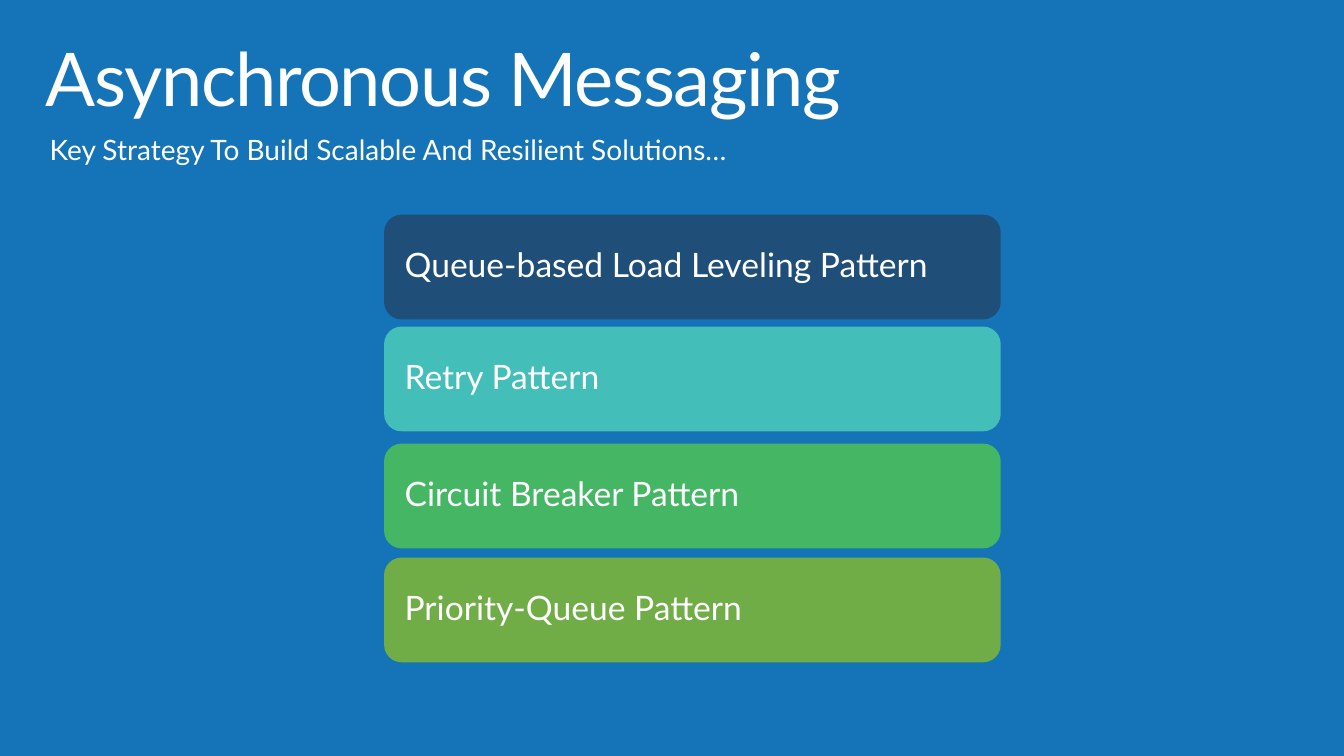
import pptx
import pptx.util
import pptx.dml.color
import pptx.enum.shapes
import pptx.enum.text

Cm = pptx.util.Cm
Pt = pptx.util.Pt
ALIGN = pptx.enum.text.PP_ALIGN
ANCHOR = pptx.enum.text.MSO_ANCHOR

COLORS = {
    "back": "1574B8",
    "text": "FFFFFF",
    "navy": "1F4E79",
    "teal": "43BEB9",
    "green": "45B664",
    "olive": "70AD47",
}

# Wording, colour and drop from the top of the list, in cm
PATTERNS = [
    ("Queue-based Load Leveling Pattern", "navy", 0),
    ("Retry Pattern", "teal", 2.82),
    ("Circuit Breaker Pattern", "green", 5.77),
    ("Priority-Queue Pattern", "olive", 8.64),
]


def paint(fill, name):
    fill.solid()
    fill.fore_color.rgb = pptx.dml.color.RGBColor.from_string(COLORS[name])


def place(shape, box):
    shape.left, shape.top, shape.width, shape.height = map(Cm, box)


def write(shape, words, size, inset, anchor, align=ALIGN.LEFT):
    """Fill the shape with one line of text and return its run."""
    frame = shape.text_frame
    frame.word_wrap = True
    frame.auto_size = pptx.enum.text.MSO_AUTO_SIZE.NONE
    frame.vertical_anchor = anchor
    frame.margin_left = frame.margin_right = Cm(inset)
    frame.margin_top = frame.margin_bottom = Cm(0.25)
    line = frame.paragraphs[0]
    line.alignment = align
    line.line_spacing = 0.9
    run = line.add_run()
    run.text = words
    run.font.size = Pt(size)
    run.font.name = "Lato"
    paint(run.font.fill, "text")
    return run


def add_head(slide, box):
    left, top, width, height = box
    title = slide.shapes.title
    place(title, (left, top, width, 2.5))
    run = write(title, "Asynchronous Messaging", 52.9, 0.41, ANCHOR.TOP)
    run.font._element.set("spc", "-100")

    sub = slide.shapes.add_textbox(
        *map(Cm, (left, top + 2.5, width, height - 2.5)))
    write(sub, "Key Strategy To Build Scalable And Resilient Solutions…",
          20, 0.51, ANCHOR.TOP, ALIGN.JUSTIFY)
    sub.text_frame.margin_top = Cm(0.13)


def add_list(slide, box):
    left, top, width, height = box
    tall = height - PATTERNS[-1][2]
    for words, color, drop in PATTERNS:
        bar = slide.shapes.add_shape(
            pptx.enum.shapes.MSO_SHAPE.ROUNDED_RECTANGLE,
            *map(Cm, (left, top + drop, width, tall)))
        bar.shadow.inherit = False
        paint(bar.fill, color)
        bar.line.fill.background()
        write(bar, words, 24, 0.39, ANCHOR.MIDDLE)


def main():
    deck = pptx.Presentation()
    deck.slide_width, deck.slide_height = Cm(33.87), Cm(19.05)
    slide = deck.slides.add_slide(deck.slide_layouts[5])
    paint(slide.background.fill, "back")
    add_head(slide, (0.74, 0.81, 32.05, 4.35))
    add_list(slide, (9.68, 5.41, 15.54, 11.28))
    deck.save("out.pptx")


if __name__ == "__main__":
    main()
